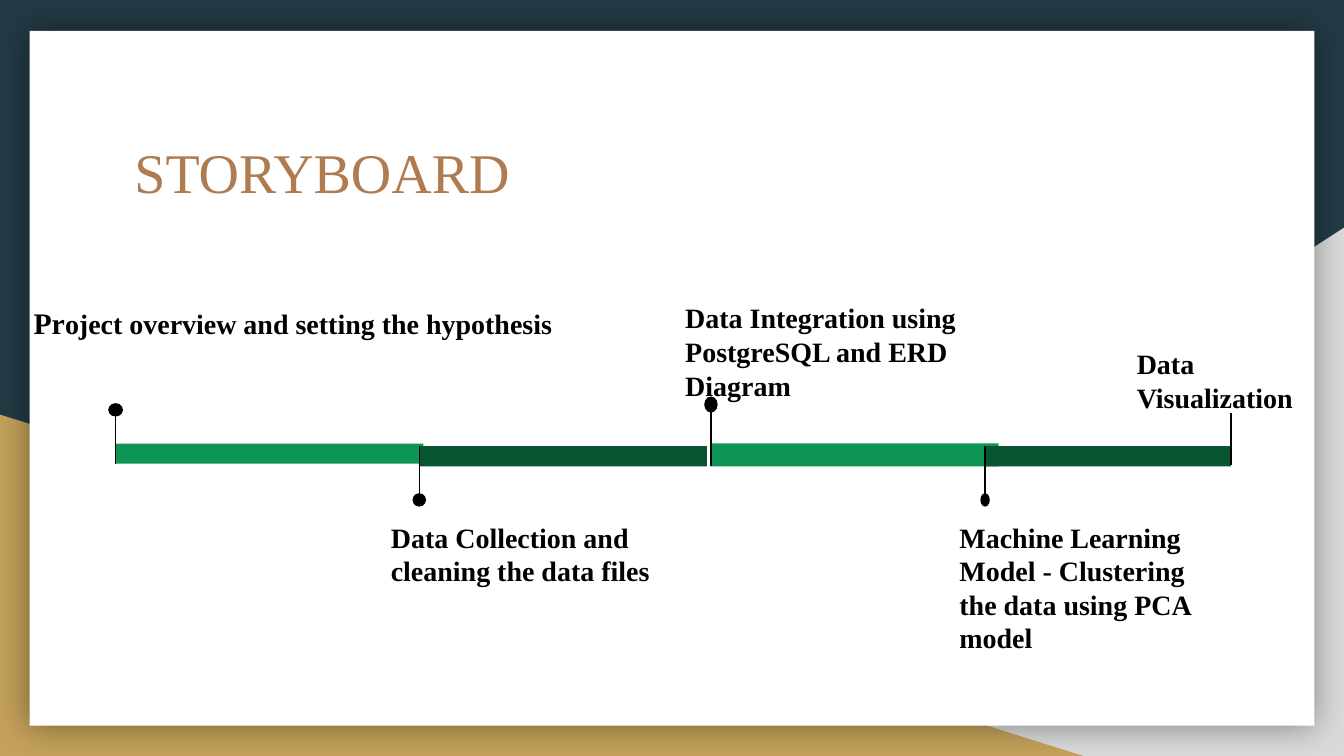
from lxml import etree
from pptx import Presentation
from pptx import util as u
from pptx.dml.color import RGBColor
from pptx.enum import shapes, text
from pptx.oxml import parse_xml
from pptx.oxml.ns import qn

WIDTH, HEIGHT = 10, 10 * 9 / 16
COLORS = {"navy": "233A44", "grey": "D9D9D9", "gold": "C4A15A", "white": "FFFFFF",
          "bronze": "AF7B51", "light": "0E9453", "dark": "085631", "ink": "000000"}
DRAWING = "http://schemas.openxmlformats.org/drawingml/2006/main"
KIND = shapes.MSO_SHAPE
LABEL = {"size": u.Pt(15), "bold": True, "name": "Times New Roman"}
INITIAL = {**LABEL, "size": u.Pt(16)}
HEADING = {"size": u.Pt(30), "bold": False, "name": "Times New Roman"}


def color(name):
    """Return a named colour."""
    return RGBColor.from_string(COLORS[name])


def inches(box):
    """Turn a box of numbers into lengths."""
    return [u.Inches(value) for value in box]


def add_block(parent, kind, box, fill):
    """Add a plain filled shape without outline or shadow."""
    block = parent.shapes.add_shape(kind, *inches(box))
    block.shadow.inherit = False
    block.fill.solid()
    block.fill.fore_color.rgb = color(fill)
    block.line.fill.background()
    return block


def add_pin(parent, x, start, end):
    """Add a thin vertical line."""
    pin = parent.shapes.add_connector(shapes.MSO_CONNECTOR.STRAIGHT,
                                      *inches((x, start, x, end)))
    pin.line.color.rgb = color("ink")
    pin.line.width = u.Pt(0.75)
    etree.SubElement(pin._element.spPr, qn("a:effectLst"))


def write(shape, spans, tint="ink", inset=0.1):
    """Fill a shape with one left-aligned paragraph of (words, style) spans."""
    frame = shape.text_frame
    settings = {"word_wrap": True, "auto_size": text.MSO_AUTO_SIZE.NONE,
                "vertical_anchor": text.MSO_ANCHOR.TOP, "margin_top": u.Inches(inset),
                "margin_left": u.Inches(0.1), "margin_right": u.Inches(0.1),
                "margin_bottom": u.Inches(0.1)}
    for key, value in settings.items():
        setattr(frame, key, value)
    para = frame.paragraphs[0]
    para.alignment = text.PP_ALIGN.LEFT
    para.space_before = u.Pt(0)
    for words, style in spans:
        span = para.add_run()
        span.text = words
        for key, value in style.items():
            setattr(span.font, key, value)
        span.font.color.rgb = color(tint)


def add_label(parent, box, words, inset=0.1):
    """Add a bold milestone label."""
    write(parent.shapes.add_textbox(*inches(box)), [(words, LABEL)], inset=inset)


def add_backdrop(page):
    """Draw the corner triangles and the white card."""
    page.background.fill.solid()
    page.background.fill.fore_color.rgb = color("navy")
    corner = add_block(page, KIND.RIGHT_TRIANGLE,
                       (WIDTH - 6.08, HEIGHT - 3.93, 6.08, 3.93), "grey")
    corner._element.spPr.find(qn("a:xfrm")).set("flipH", "1")
    add_block(page, KIND.RIGHT_TRIANGLE, (0, HEIGHT - 2.54, 8.06, 2.54), "gold")
    card = add_block(page, KIND.RECTANGLE, (0.22, 0.23, WIDTH - 0.44, 5.17), "white")
    card._element.spPr.find(qn("a:effectLst")).append(parse_xml(
        f'<a:outerShdw xmlns:a="{DRAWING}" blurRad="{u.Pt(18)}" dist="0" dir="0" '
        'algn="ctr" rotWithShape="0"><a:srgbClr val="000000">'
        '<a:alpha val="40000"/></a:srgbClr></a:outerShdw>'))


def place(page, holder, box, spans, **options):
    """Move a placeholder in front of the backdrop and fill it."""
    holder.left, holder.top, holder.width, holder.height = inches(box)
    page.shapes._spTree.append(holder._element)
    write(holder, spans, **options)


def add_milestone(page, bar, fill, dot, label=None):
    """Group a bar, a pin on its left edge, a dot (centre, size) and a label."""
    group = page.shapes.add_group_shape()
    left, top, _, height = bar
    middle, wide, tall = dot
    add_block(group, KIND.RECTANGLE, bar, fill)
    add_pin(group, left, middle, top if middle > top else top + height)
    add_block(group, KIND.OVAL, (left - wide / 2, middle - tall / 2, wide, tall), "ink")
    if label:
        shift, label_top, label_width, label_height, words, inset = label
        add_label(group, (left + shift, label_top, label_width, label_height),
                  words, inset)


def build_storyboard(deck):
    """Build the timeline slide."""
    page = deck.slides.add_slide(deck.slide_layouts[1])
    title, body = page.placeholders
    add_backdrop(page)
    place(page, title, (0.9, 0.92, 8.21, 1.04), [("STORYBOARD", HEADING)],
          tint="bronze")
    place(page, body, (0.15, 1.72, 9.53, 3.45),
          [("Pr", INITIAL), ("oject overview and setting the hypothesis", LABEL)],
          inset=0.55)
    paragraph = body.text_frame.paragraphs[0]._p.get_or_add_pPr()
    paragraph.set("marL", "0")
    paragraph.set("indent", "0")
    etree.SubElement(paragraph, qn("a:buNone"))

    milestones = [
        ((5.29, 3.3, 2.14, 0.17), "light", (3.01, 0.1, 0.12),
         (-0.29, 1.78, 2.65, 1.04,
          "Data Integration using PostgreSQL and ERD Diagram", 0.46)),
        ((7.33, 3.32, 1.83, 0.15), "dark", (3.72, 0.07, 0.1),
         (-0.29, 3.77, 1.95, 1.03,
          "Machine Learning Model - Clustering the data using PCA model", 0.1)),
        ((0.86, 3.3, 2.29, 0.15), "light", (3.05, 0.11, 0.1)),
        ((3.12, 3.32, 2.14, 0.15), "dark", (3.72, 0.1, 0.1),
         (-0.31, 3.77, 2.65, 1.03, "Data Collection and cleaning the data files", 0.1)),
    ]
    for milestone in milestones:
        add_milestone(page, *milestone)
    add_pin(page, 9.16, 3.46, 3.07)
    add_label(page, (8.36, 2.48, 1.39, 0.71), "Data Visualization")


deck = Presentation()
deck.slide_width, deck.slide_height = inches((WIDTH, HEIGHT))
build_storyboard(deck)
deck.save("out.pptx")
